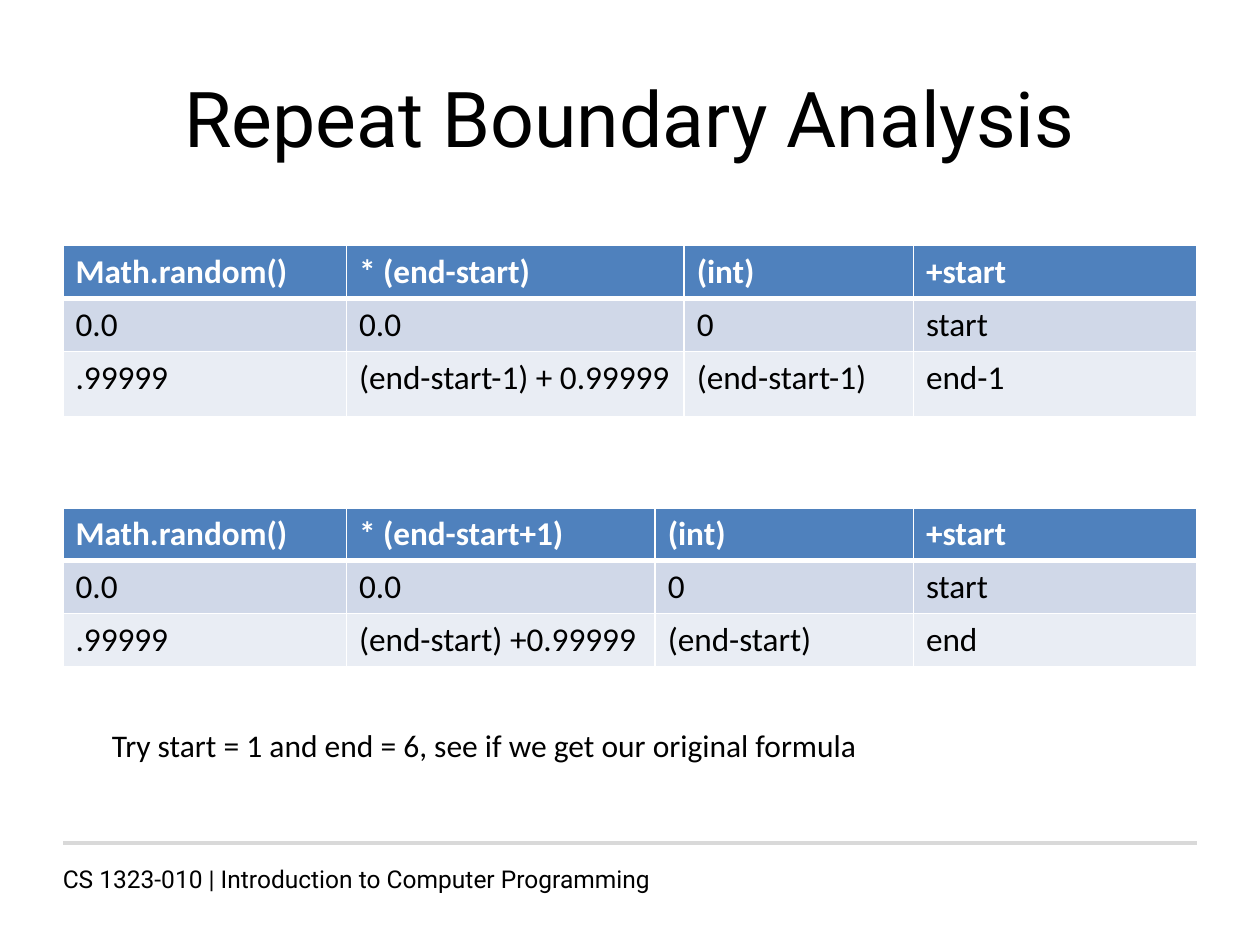
from dataclasses import dataclass

from lxml.etree import SubElement
from pptx import Presentation
from pptx.dml.color import RGBColor
from pptx.enum.shapes import MSO_CONNECTOR
from pptx.enum.text import MSO_ANCHOR, MSO_AUTO_SIZE, PP_ALIGN
from pptx.oxml.ns import qn
from pptx.slide import Slide
from pptx.util import Inches, Pt


@dataclass(frozen=True)
class Theme:
    heading_font: str = "Roboto"
    body_font: str = "Calibri"
    title_size: int = 44
    cell_size: int = 19
    note_size: int = 18
    footer_size: int = 14
    text: str = "000000"
    white: str = "FFFFFF"
    header: str = "4F81BD"
    bands: tuple[str, ...] = ("D0D8E8", "E9EDF4")
    rule: str = "D9D9D9"


@dataclass(frozen=True)
class Label:
    text: str
    box: tuple[float, float, float, float]
    font: str
    size: int
    align: PP_ALIGN = PP_ALIGN.LEFT
    anchor: MSO_ANCHOR = MSO_ANCHOR.TOP
    wrap: bool = True


@dataclass(frozen=True)
class BoundaryTable:
    top: float
    cols: tuple[float, ...]
    row_heights: tuple[float, ...]
    rows: tuple[tuple[str, ...], ...]


THEME = Theme()
LEFT, WIDTH = 0.5, 9

LABELS = (
    Label("CS 1323-010 | Introduction to Computer Programming",
          (0.4, 6.81, WIDTH, 0.28), THEME.heading_font, THEME.footer_size),
    Label("Repeat Boundary Analysis", (LEFT, 0.3, WIDTH, 1.25),
          THEME.heading_font, THEME.title_size,
          PP_ALIGN.CENTER, MSO_ANCHOR.MIDDLE),
    Label("Try start = 1 and end = 6, see if we get our original formula",
          (0.79, 5.71, 6.2, 0.4), THEME.body_font, THEME.note_size, wrap=False),
)

TABLES = (
    BoundaryTable(1.95, (2.25, 2.68, 1.82, 2.25), (0.42, 0.42, 0.52), (
        ("Math.random()", "* (end-start)", "(int)", "+start"),
        ("0.0", "0.0", "0", "start"),
        (".99999", "(end-start-1) + 0.99999", "(end-start-1)", "end-1"),
    )),
    BoundaryTable(4.03, (2.25, 2.45, 2.05, 2.25), (0.42, 0.42, 0.42), (
        ("Math.random()", "* (end-start+1)", "(int)", "+start"),
        ("0.0", "0.0", "0", "start"),
        (".99999", "(end-start) +0.99999", "(end-start)", "end"),
    )),
)


def add_run(p, text: str, font: str, size: int, color: str, bold: bool = False) -> None:
    r = p.add_run()
    r.text = text
    r.font.name = font
    r.font.size = Pt(size)
    r.font.bold = bold
    r.font.color.rgb = RGBColor.from_string(color)


def add_label(s: Slide, label: Label) -> None:
    sp = s.shapes.add_textbox(*map(Inches, label.box))
    tf = sp.text_frame
    tf.word_wrap = label.wrap
    tf.auto_size = MSO_AUTO_SIZE.NONE if label.wrap else MSO_AUTO_SIZE.SHAPE_TO_FIT_TEXT
    tf.vertical_anchor = label.anchor
    p = tf.paragraphs[0]
    p.alignment = label.align
    add_run(p, label.text, label.font, label.size, THEME.text)


def set_borders(cell, top: int, bottom: int) -> None:
    tc_pr = cell._tc.get_or_add_tcPr()
    for side, width in (("L", 1), ("R", 1), ("T", top), ("B", bottom)):
        ln = SubElement(tc_pr, qn(f"a:ln{side}"), w=str(Pt(width)))
        fill = SubElement(ln, qn("a:solidFill"))
        SubElement(fill, qn("a:srgbClr"), val=THEME.white)


def add_boundary_table(s: Slide, spec: BoundaryTable) -> None:
    table = s.shapes.add_table(
        len(spec.rows), len(spec.cols), Inches(LEFT), Inches(spec.top),
        Inches(WIDTH), Inches(sum(spec.row_heights))).table
    for column, width in zip(table.columns, spec.cols):
        column.width = Inches(width)
    for i, (height, texts) in enumerate(zip(spec.row_heights, spec.rows)):
        table.rows[i].height = Inches(height)
        is_header = i == 0
        fill = THEME.header if is_header else THEME.bands[(i - 1) % 2]
        color = THEME.white if is_header else THEME.text
        for j, text in enumerate(texts):
            cell = table.cell(i, j)
            set_borders(cell, 3 if i == 1 else 1, 3 if is_header else 1)
            cell.fill.solid()
            cell.fill.fore_color.rgb = RGBColor.from_string(fill)
            add_run(cell.text_frame.paragraphs[0], text, THEME.body_font,
                    THEME.cell_size, color, is_header)


def add_footer_rule(s: Slide, y: float) -> None:
    rule = s.shapes.add_connector(
        MSO_CONNECTOR.STRAIGHT, Inches(LEFT), Inches(y), Inches(LEFT + WIDTH), Inches(y))
    rule.line.color.rgb = RGBColor.from_string(THEME.rule)
    rule.line.width = Pt(2)
    SubElement(rule._element.spPr, qn("a:effectLst"))


def main() -> None:
    prs = Presentation()
    prs.slide_width, prs.slide_height = Inches(10), Inches(7.5)
    s = prs.slides.add_slide(prs.slide_layouts[6])
    footer, title, note = LABELS
    add_label(s, footer)
    add_footer_rule(s, 6.69)
    add_label(s, title)
    for spec in TABLES:
        add_boundary_table(s, spec)
    add_label(s, note)
    prs.save("out.pptx")


if __name__ == "__main__":
    main()
